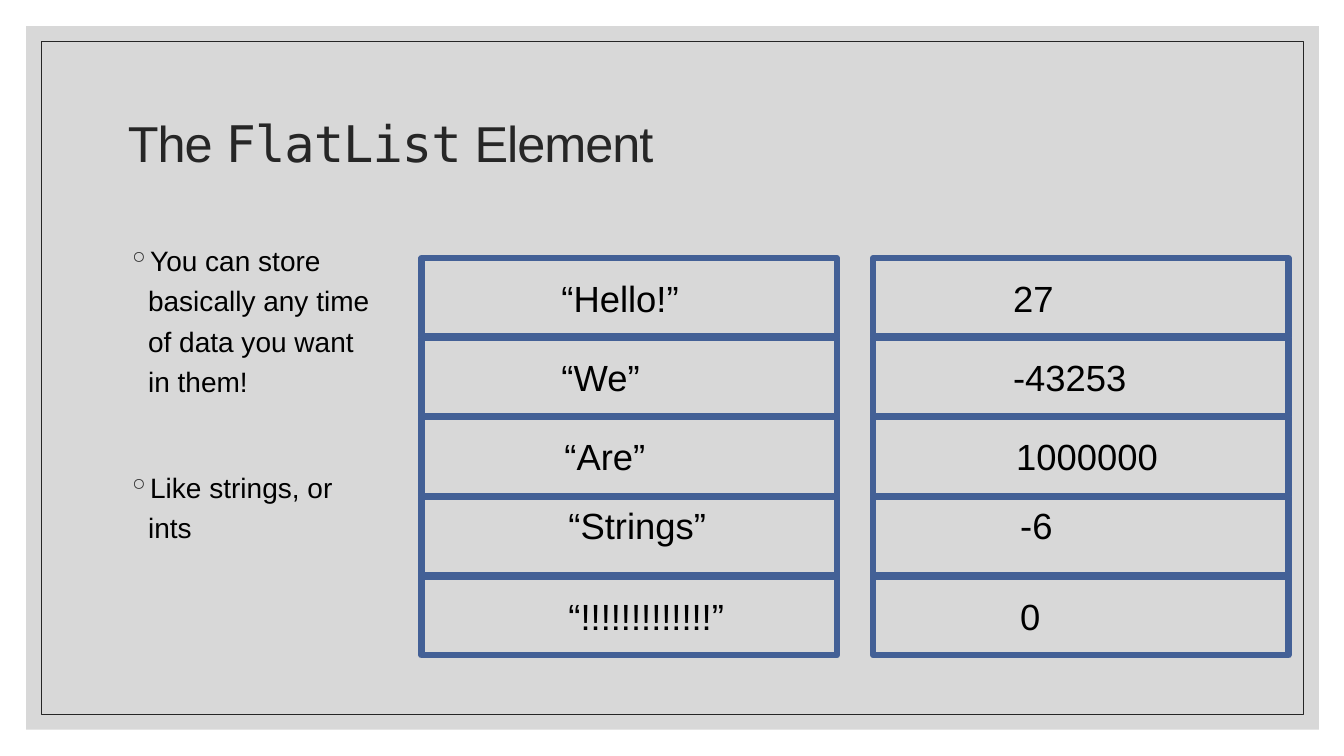
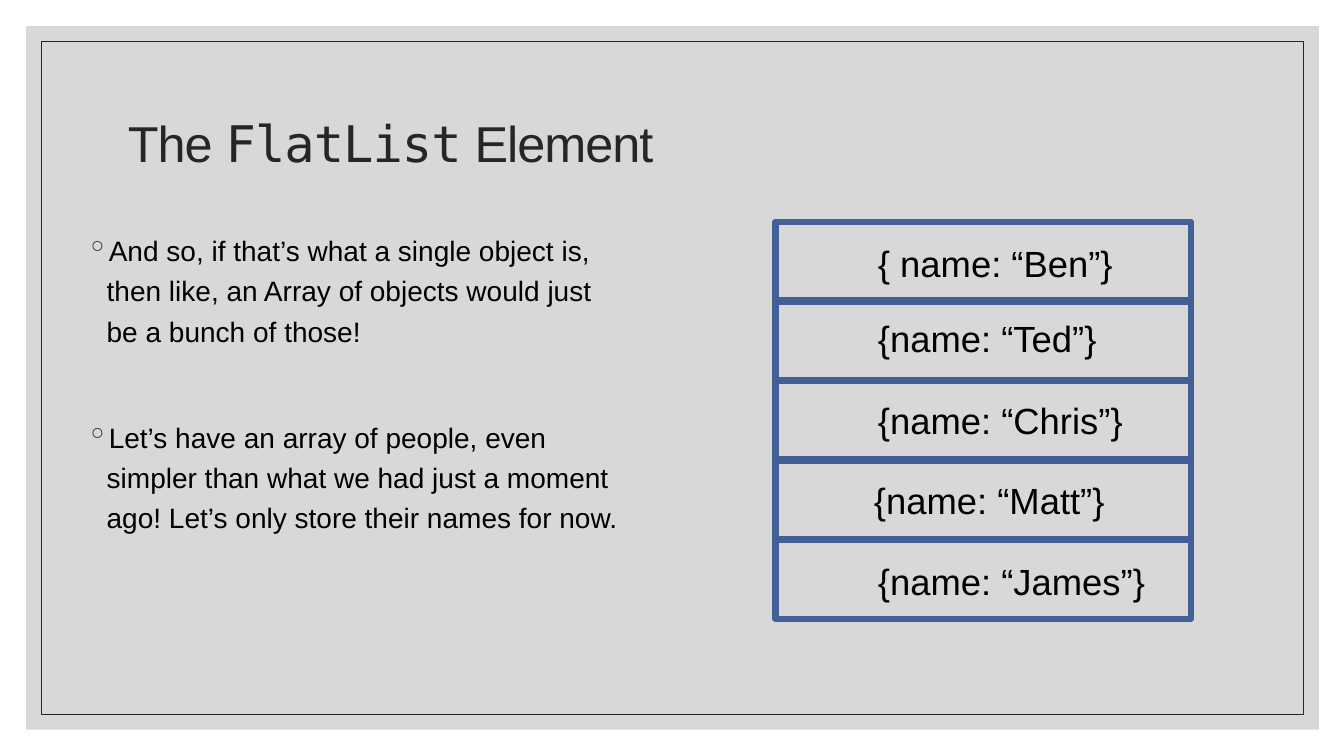
import pptx
import pptx.util
import pptx.dml.color
import pptx.enum.shapes
import pptx.enum.text
import pptx.oxml.ns
from lxml import etree

Inches = pptx.util.Inches
Pt = pptx.util.Pt
INK = "262626"
PANEL = "BFBFBF"
BLUE = "436096"
BLACK = "000000"
SANS = "Arial"
MONO = "DejaVu Sans Mono"
TITLE = [("The ", SANS), ("FlatList", MONO), (" Element", SANS)]
CELL_W = 4.12
CELL_H = 0.78
PITCH = 0.79


def paint(item, color):
    item.rgb = pptx.dml.color.RGBColor.from_string(color)


def add_tag(parent, name, **attrs):
    return etree.SubElement(parent, pptx.oxml.ns.qn(name), attrs)


def add_rect(shapes, left, top, width, height, fill=None, alpha=None, line=None, weight=1):
    rect = shapes.add_shape(pptx.enum.shapes.MSO_SHAPE.RECTANGLE,
                            Inches(left), Inches(top), Inches(width), Inches(height))
    rect.shadow.inherit = False
    if fill:
        rect.fill.solid()
        paint(rect.fill.fore_color, fill)
        if alpha:
            color = rect.fill._xPr.find(".//" + pptx.oxml.ns.qn("a:srgbClr"))
            add_tag(color, "a:alpha", val=str(alpha * 1000))
    else:
        rect.fill.background()
    if line:
        paint(rect.line.color, line)
        rect.line.width = Pt(weight)
    else:
        rect.line.fill.background()


def add_bullet(para):
    props = para._p.get_or_add_pPr()
    props.set("marL", str(Inches(0.2)))
    props.set("indent", str(-Inches(0.2)))
    add_tag(add_tag(props, "a:buClr"), "a:srgbClr", val=INK)
    add_tag(props, "a:buChar", char="◦")


def add_text(shapes, paras, left, top, width, height, size=20, color=BLACK,
             leading=1.0, gap=0, bullet=False, middle=False, track=None):
    box = shapes.add_textbox(Inches(left), Inches(top), Inches(width), Inches(height))
    frame = box.text_frame
    frame.word_wrap = True
    if middle:
        frame.vertical_anchor = pptx.enum.text.MSO_ANCHOR.MIDDLE
    for num, runs in enumerate(paras):
        para = frame.add_paragraph() if num else frame.paragraphs[0]
        if bullet:
            add_bullet(para)
        para.line_spacing = leading
        if num:
            para.space_before = Pt(gap)
        for words, face in runs:
            run = para.add_run()
            run.text = words
            run.font.name = face
            run.font.size = Pt(size)
            paint(run.font.color, color)
            if track:
                run._r.get_or_add_rPr().set("spc", str(round(track * 100)))


def add_points(slide, points, left, top, width, height):
    add_text(slide.shapes, [[(point, SANS)] for point in points], left, top, width, height,
             leading=1.2, gap=47, bullet=True)


def add_stack(slide, left, top, labels, spots):
    group = slide.shapes.add_group_shape()
    for row in range(len(labels)):
        add_rect(group.shapes, left, top + row * PITCH, CELL_W, CELL_H, line=BLUE, weight=4.5)
    for label, (right, down) in zip(labels, spots):
        add_text(group.shapes, [[(label, SANS)]], left + right, top + down,
                 CELL_W - right, 0.54, size=26)


def add_page(deck):
    slide = deck.slides.add_slide(deck.slide_layouts[6])
    add_rect(slide.shapes, 0.26, 0.26, 12.82, 6.98, fill=PANEL, alpha=60)
    add_rect(slide.shapes, 0.41, 0.41, 12.52, 6.68, line=INK, weight=0.5)
    add_text(slide.shapes, [TITLE], 1.17, 0.7, 11, 1.5, size=36, color=INK,
             leading=0.9, middle=True, track=-0.7)
    return slide


def add_types(deck):
    slide = add_page(deck)
    add_points(slide, ["You can store basically any time of data you want in them!",
                       "Like strings, or ints"], 1.17, 2.3, 2.71, 4.21)
    spots = [(1.29, 0.13), (1.29, 0.91), (1.32, 1.7), (1.36, 2.38), (1.36, 3.28)]
    add_stack(slide, 4.18, 2.56,
              ["“Hello!”", "“We”", "“Are”", "“Strings”", "“!!!!!!!!!!!!!”"], spots)
    add_stack(slide, 8.66, 2.56, ["27", "-43253", "1000000", "-6", "0"], spots)


def add_people(deck):
    slide = add_page(deck)
    add_points(slide, ["And so, if that’s what a single object is, then like, "
                       "an Array of objects would just be a bunch of those!",
                       "Let’s have an array of people, even simpler than what we had "
                       "just a moment ago! Let’s only store their names for now."],
               0.76, 2.2, 5.57, 5.04)
    spots = [(0.92, 0.14), (0.92, 0.89), (0.92, 1.7), (0.88, 2.49), (0.92, 3.3)]
    add_stack(slide, 7.69, 2.2,
              ["{ name: “Ben”}", "{name: “Ted”}", "{name: “Chris”}",
               "{name: “Matt”}", "{name: “James”}"], spots)


def main():
    deck = pptx.Presentation()
    deck.slide_width = Inches(13.33)
    deck.slide_height = Inches(7.5)
    add_types(deck)
    add_people(deck)
    deck.save("out.pptx")


if __name__ == "__main__":
    main()
